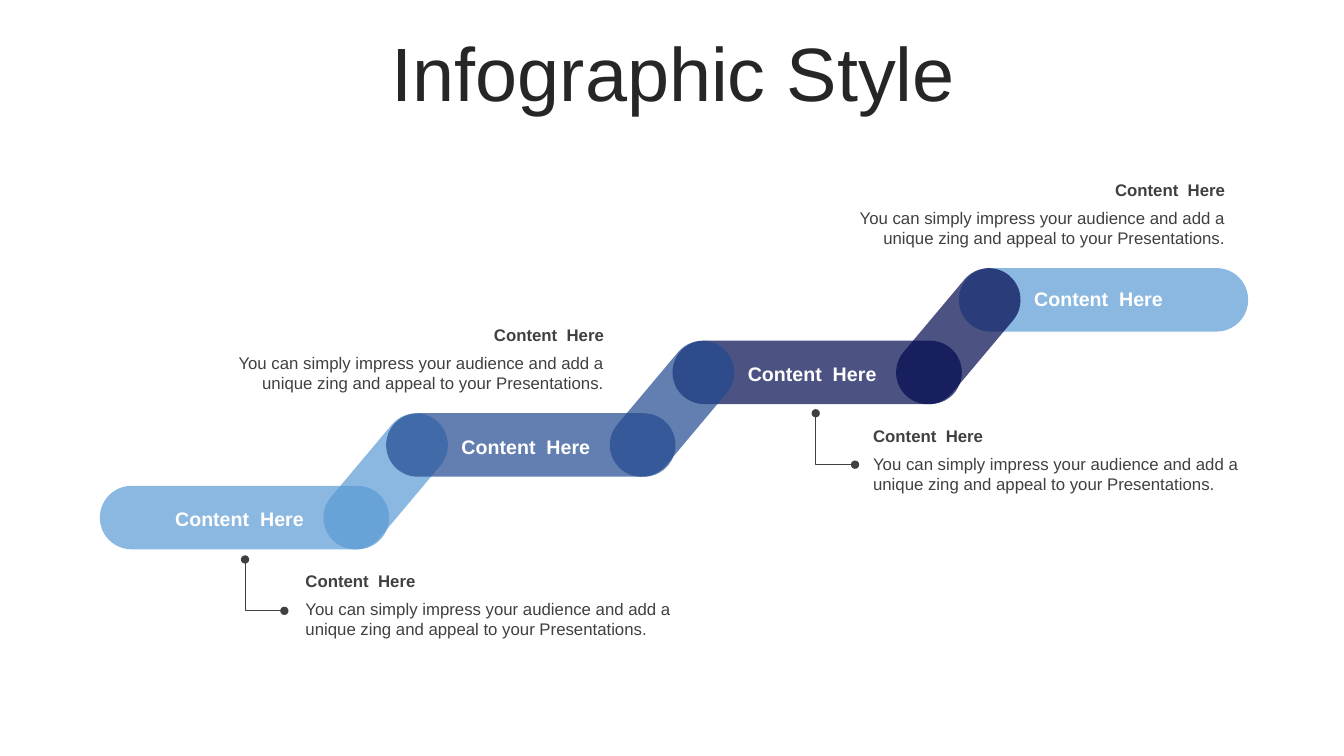
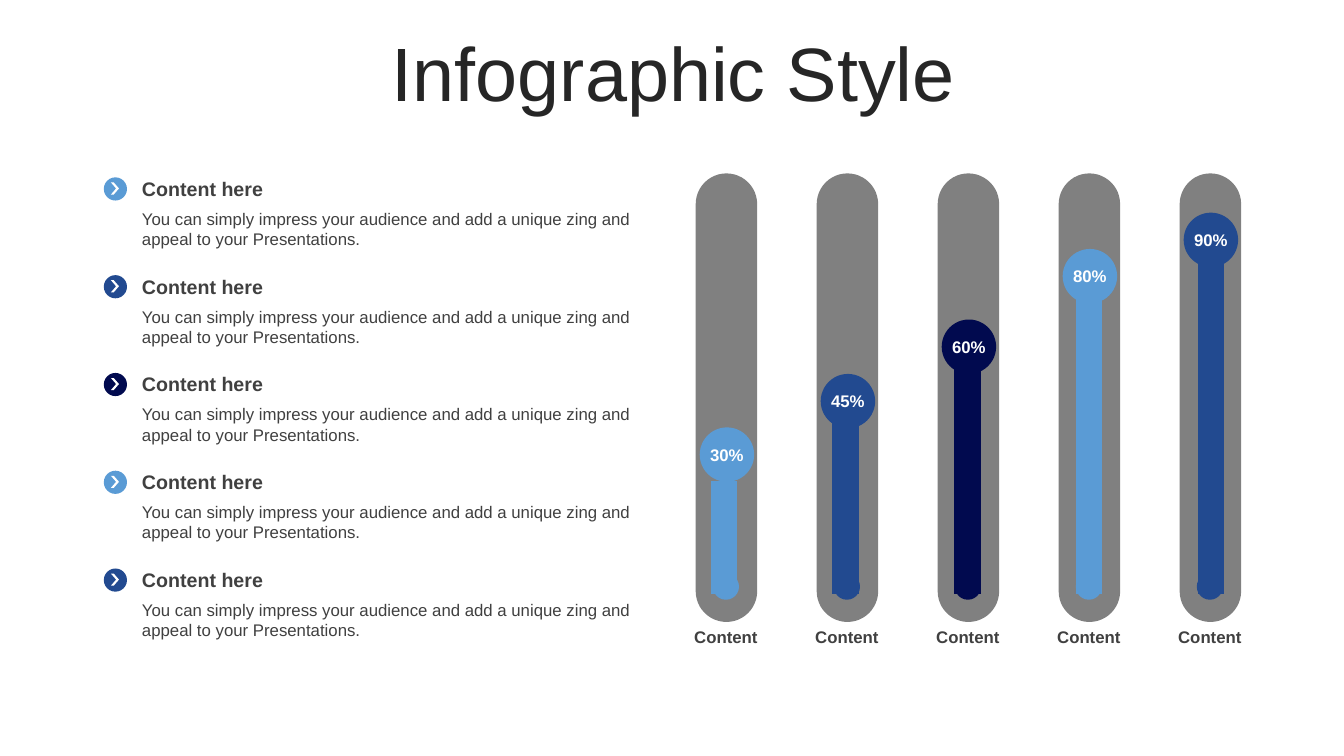
import pptx
import pptx.chart.data
import pptx.dml.color
import pptx.enum.chart
import pptx.enum.shapes
import pptx.enum.text
import pptx.oxml
import pptx.oxml.ns
import pptx.util

Inches, Pt = pptx.util.Inches, pptx.util.Pt
SHAPE = pptx.enum.shapes.MSO_SHAPE
ALIGN = pptx.enum.text.PP_ALIGN
ANCHOR = pptx.enum.text.MSO_ANCHOR
qn = pptx.oxml.ns.qn

FONT = "Arial"
SKY, BLUE, NAVY = "5A9BD5", "224A90", "010A4F"
GREY, INK, TITLE_INK, WHITE = "808080", "404040", "262626", "FFFFFF"
TITLE = "Infographic Style"
BODY = ("You can simply impress your audience and add a unique zing "
        "and appeal to your Presentations.")
PLAIN_INSETS = (0.1, 0.05, 0.1, 0.05)
FLUSH_INSETS = (0, 0.05, 0.1, 0.05)

STEP_HEADING = "Content  Here"
STEP_X, STEP_Y, STEP_DX, STEP_DY = 0.99, 4.82, 2.84, 0.72
STEPS = [
    {"color": SKY, "label_y": 4.98, "note": (3.03, 5.61, 3.88), "align": ALIGN.LEFT},
    {"color": BLUE, "label_y": 4.26, "note": (2.13, 3.17, 3.96), "align": ALIGN.RIGHT},
    {"color": NAVY, "label_y": 3.54, "note": (8.66, 4.17, 3.73), "align": ALIGN.LEFT},
    {"color": SKY, "label_y": 2.79, "note": (8.29, 1.73, 3.96), "align": ALIGN.RIGHT},
]
ELBOWS = [(2.37, 5.61), (8.03, 4.16)]

LIST_HEADING = "Content here"
LIST_Y, LIST_DY = 1.7, 0.97
TUBE_LABEL = "Content"
TUBE_X, TUBE_DX = 6.9, 1.2
TUBES = [
    ("30%", 33, 4.24, SKY),
    ("45%", 50, 3.71, BLUE),
    ("60%", 67, 3.17, NAVY),
    ("80%", 89, 2.47, SKY),
    ("90%", 100, 2.11, BLUE),
]
CHART_BOX = (6.45, 2.11, 6.29, 3.86)
PLOT_BOX = {"x": 0.02, "y": 0.1, "w": 0.96, "h": 0.88}


def rgb(color):
    """Turn a hex string into a colour."""
    return pptx.dml.color.RGBColor.from_string(color)


def inches(*values):
    """Turn numbers into lengths."""
    return [Inches(v) for v in values]


def add_run(p, text, size, color, bold=False):
    """Append a styled run to a paragraph."""
    r = p.add_run()
    r.text = text
    r.font.name = FONT
    r.font.size = Pt(size)
    r.font.bold = bold
    r.font.color.rgb = rgb(color)


def set_insets(tf, insets):
    """Set the four margins of a text frame."""
    tf.margin_left, tf.margin_top, tf.margin_right, tf.margin_bottom = inches(*insets)


def add_text(s, box, text, size, color=INK, bold=False, align=ALIGN.LEFT,
             anchor=ANCHOR.MIDDLE, insets=PLAIN_INSETS):
    """Add a wrapped text box of one paragraph and return the paragraph."""
    tf = s.shapes.add_textbox(*inches(*box)).text_frame
    tf.word_wrap = True
    tf.vertical_anchor = anchor
    set_insets(tf, insets)
    p = tf.paragraphs[0]
    p.alignment = align
    add_run(p, text, size, color, bold)
    return p


def add_filled(s, kind, box, color, adjust=None, rotation=0, opacity=None):
    """Add a flat preset shape without outline."""
    sp = s.shapes.add_shape(kind, *inches(*box))
    sp.shadow.inherit = False
    sp.fill.solid()
    sp.fill.fore_color.rgb = rgb(color)
    sp.line.fill.background()
    sp.rotation = rotation
    if adjust is not None:
        sp.adjustments[0] = adjust
    if opacity is not None:
        clr = sp._element.spPr.find(".//" + qn("a:srgbClr"))
        clr.append(pptx.oxml.parse_xml(
            f'<a:alpha {pptx.oxml.ns.nsdecls("a")} val="{opacity * 1000}"/>'))
    return sp


def add_pill(s, box, color, **options):
    """Add a fully rounded rectangle."""
    return add_filled(s, SHAPE.ROUNDED_RECTANGLE, box, color, adjust=0.5, **options)


def add_note(s, x, y, width, heading, heading_size, gap, align=ALIGN.LEFT,
             insets=PLAIN_INSETS):
    """Add a bold heading with the body text under it."""
    height = 0.3 if heading_size == 12 else 0.34
    add_text(s, (x, y, width, height), heading, heading_size, bold=True,
             align=align, insets=insets)
    add_text(s, (x, y + gap, width, 0.5), BODY, 12, align=align,
             anchor=ANCHOR.TOP, insets=insets)


def add_elbow(s, x, y, width=0.51, height=0.39):
    """Add a connector that runs down, then right, with dots at both ends."""
    c = s.shapes.add_connector(pptx.enum.shapes.MSO_CONNECTOR.ELBOW,
                               *inches(x, y, x + width, y + height))
    c.line.color.rgb = rgb(INK)
    c.line.width = Pt(0.5)
    spPr = c._element.spPr
    ns = pptx.oxml.ns.nsdecls("a")
    xfrm = spPr.find(qn("a:xfrm"))
    xfrm.set("rot", "16200000")
    xfrm.set("flipH", "1")
    geom = spPr.find(qn("a:prstGeom"))
    for old in geom.findall(qn("a:avLst")):
        geom.remove(old)
    geom.append(pptx.oxml.parse_xml(
        f'<a:avLst {ns}><a:gd name="adj1" fmla="val 99200"/></a:avLst>'))
    for end in ("headEnd", "tailEnd"):
        spPr.find(qn("a:ln")).append(pptx.oxml.parse_xml(f'<a:{end} {ns} type="oval"/>'))
    spPr.append(pptx.oxml.parse_xml(f"<a:effectLst {ns}/>"))


def add_bars(s):
    """Add the stacked column chart that fills the tubes."""
    data = pptx.chart.data.CategoryChartData()
    data.categories = [str(i + 1) for i in range(len(TUBES))]
    data.add_series("Series 1", [value for _, value, _, _ in TUBES])
    chart = s.shapes.add_chart(pptx.enum.chart.XL_CHART_TYPE.COLUMN_STACKED,
                               *inches(*CHART_BOX), data).chart
    chart.font.name = FONT
    chart.font.size = Pt(18)
    chart.font.color.rgb = rgb("000000")
    chart.has_legend = False
    chart.has_title = False
    chart.category_axis.visible = False
    axis = chart.value_axis
    axis.visible = False
    axis.has_major_gridlines = False
    axis.minimum_scale, axis.maximum_scale = 0, 100
    plot = chart.plots[0]
    plot.gap_width, plot.overlap = 360, 100
    plot.vary_by_categories = False
    for i, (_, _, _, color) in enumerate(TUBES):
        fill = plot.series[0].points[i].format.fill
        fill.solid()
        fill.fore_color.rgb = rgb(color)
    area = chart._chartSpace.find(".//" + qn("c:plotArea"))
    for old in area.findall(qn("c:layout")):
        area.remove(old)
    sizes = "".join(f'<c:{k} val="{v}"/>' for k, v in PLOT_BOX.items())
    area.insert(0, pptx.oxml.parse_xml(
        f'<c:layout {pptx.oxml.ns.nsdecls("c")}><c:manualLayout>'
        '<c:layoutTarget val="inner"/><c:xMode val="edge"/><c:yMode val="edge"/>'
        f"{sizes}</c:manualLayout></c:layout>"))


def add_slide(prs):
    """Add a blank slide with the shared title."""
    s = prs.slides.add_slide(prs.slide_layouts[6])
    p = add_text(s, (0.35, 0.37, 12.66, 0.79), TITLE, 54, TITLE_INK, align=ALIGN.CENTER)
    p.line_spacing = 0.9
    return s


def build_stairs(prs):
    """Build the rising chain of steps."""
    s = add_slide(prs)

    def step(i):
        add_pill(s, (STEP_X + i * STEP_DX, STEP_Y - i * STEP_DY, 2.87, 0.63),
                 STEPS[i]["color"], opacity=70)

    def link(i):
        add_pill(s, (3.04 + i * STEP_DX, 4.46 - i * STEP_DY, 1.57, 0.63),
                 STEPS[i]["color"], rotation=310, opacity=70)

    for draw, i in [(step, 0), (link, 0), (step, 1), (step, 2), (step, 3),
                    (link, 1), (link, 2)]:
        draw(i)
    for i, item in enumerate(STEPS):
        add_text(s, (1.6 + i * STEP_DX, item["label_y"], 1.65, 0.34), STEP_HEADING, 14,
                 WHITE, True, ALIGN.CENTER, insets=FLUSH_INSETS)
        add_note(s, *item["note"], STEP_HEADING, 12, 0.28, item["align"], FLUSH_INSETS)
    for x, y in ELBOWS:
        add_elbow(s, x, y)


def build_tubes(prs):
    """Build the list and the row of filled tubes."""
    s = add_slide(prs)
    lefts = [TUBE_X + i * TUBE_DX for i in range(len(TUBES))]
    for x in lefts:
        add_pill(s, (x, 1.72, 0.61, 4.45), GREY)
    add_bars(s)
    for i, (x, (percent, _, knob_y, color)) in enumerate(zip(lefts, TUBES)):
        add_filled(s, SHAPE.OVAL, (x + 0.17, 5.69, 0.26, 0.26), color)
        knob = add_filled(s, SHAPE.OVAL, (x + 0.04, knob_y, 0.54, 0.54), color)
        tf = knob.text_frame
        tf.word_wrap = False
        tf.vertical_anchor = ANCHOR.MIDDLE
        set_insets(tf, (0, 0, 0, 0))
        tf.paragraphs[0].alignment = ALIGN.CENTER
        add_run(tf.paragraphs[0], percent, 12, WHITE, True)
        add_text(s, (x - 0.13, 6.17, 0.86, 0.3), TUBE_LABEL, 12, bold=True,
                 align=ALIGN.CENTER)
        y = LIST_Y + i * LIST_DY
        add_filled(s, SHAPE.OVAL, (1.03, y + 0.06, 0.23, 0.23), color)
        add_filled(s, SHAPE.CHEVRON, (1.1, y + 0.11, 0.08, 0.12), WHITE, adjust=0.65)
        add_note(s, 1.31, y, 5.18, LIST_HEADING, 14, 0.32)


def main():
    """Build and save the presentation."""
    prs = pptx.Presentation()
    prs.slide_width, prs.slide_height = inches(13.33, 7.5)
    build_stairs(prs)
    build_tubes(prs)
    prs.save("out.pptx")


if __name__ == "__main__":
    main()
